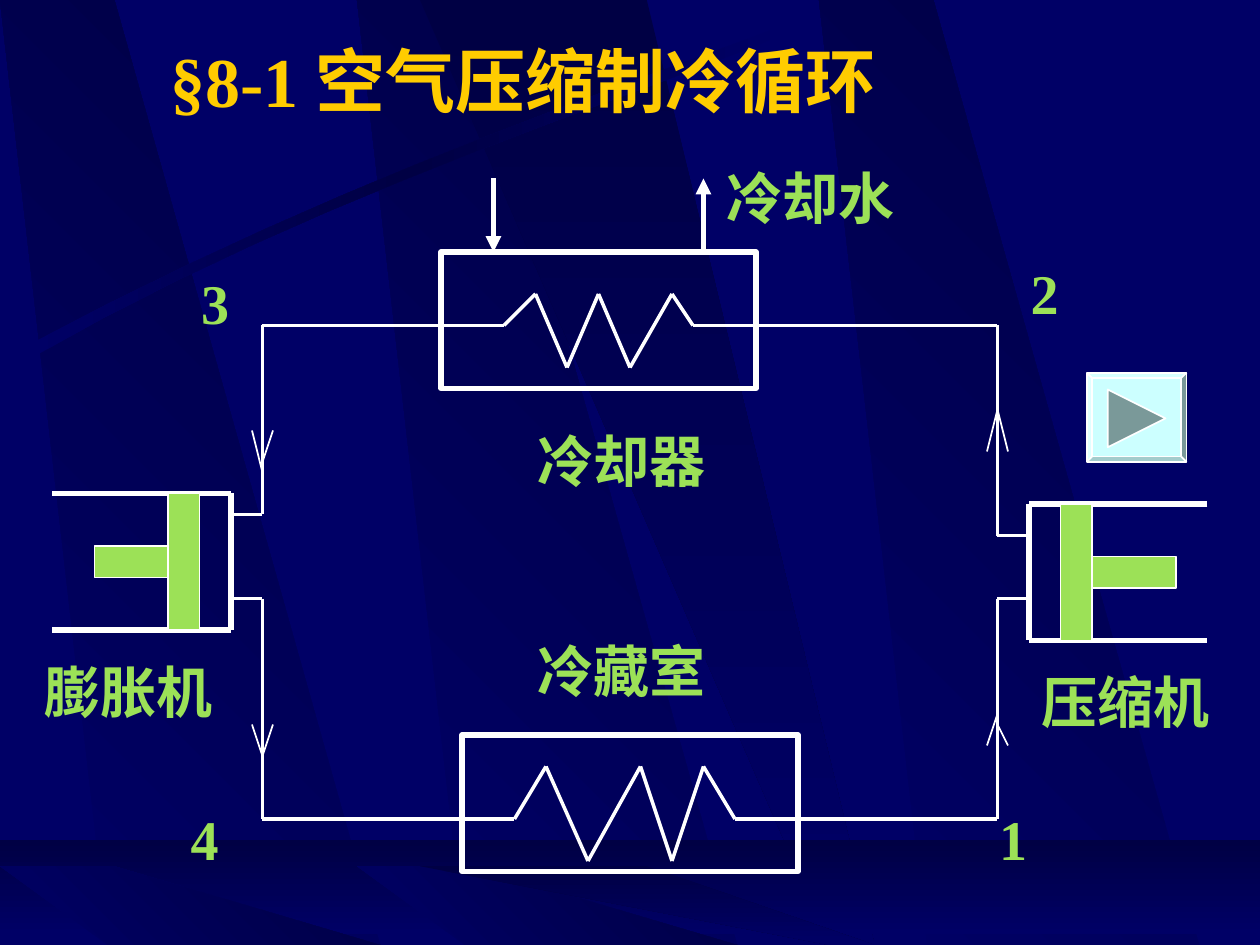
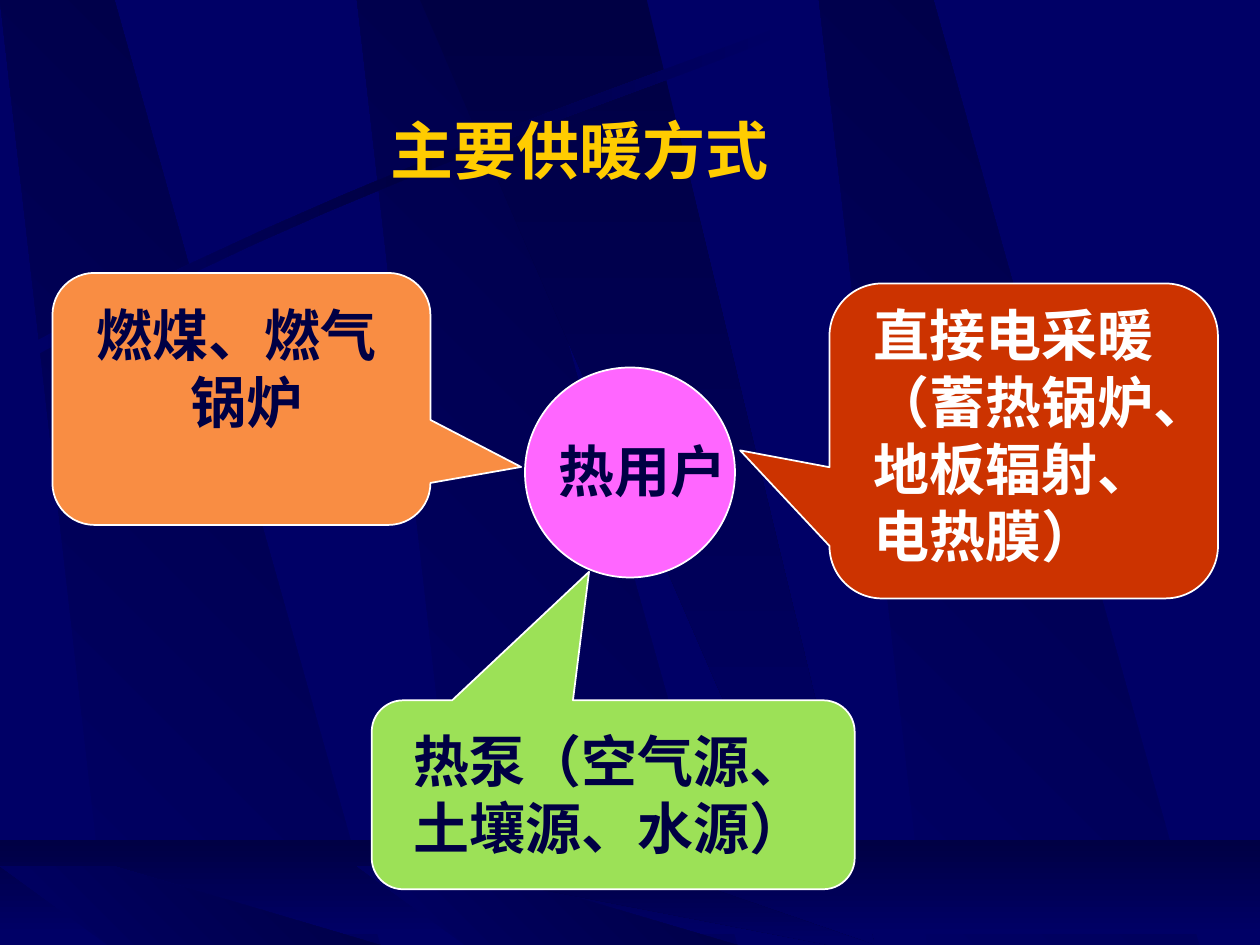
"""Build two slides: the air refrigeration cycle and the main ways of heating."""
import itertools
import pptx
import pptx.dml.color
import pptx.enum.shapes
import pptx.enum.text
import pptx.oxml.ns
import pptx.util
from copy import deepcopy
from lxml import etree

HUE = {
    "navy": "000066", "dark": "000044", "gold": "FFCC00", "lime": "9CE157",
    "white": "FFFFFF", "pink": "FF66FF", "peach": "F98D43", "red": "CC3300",
    "ice": "CCFFFF", "slate": "7A9999",
}
RGB = {name: pptx.dml.color.RGBColor.from_string(code) for name, code in HUE.items()}
KIND = pptx.enum.shapes.MSO_SHAPE
ALIGN = pptx.enum.text.PP_ALIGN
qn = pptx.oxml.ns.qn

deck = pptx.Presentation()
deck.slide_width, deck.slide_height = pptx.util.Inches(10), pptx.util.Inches(7.5)
COLS = 120
cell = deck.slide_width // COLS


def draw(slide, kind, at, fill=None, edge=1):
    """Add a preset shape at grid cells, with a white edge."""
    shape = slide.shapes.add_shape(kind, *[round(v * cell) for v in at])
    shape.shadow.inherit = False
    if fill:
        shape.fill.solid()
        shape.fill.fore_color.rgb = RGB[fill]
    else:
        shape.fill.background()
    shape.line.color.rgb = RGB["white"]
    shape.line.width = pptx.util.Pt(edge)
    return shape


def write(box, at, text, hue, size=32, align=ALIGN.LEFT, wrap=True):
    """Place a text holder at grid cells and set its bold text."""
    box.left, box.top, box.width, box.height = [round(v * cell) for v in at]
    frame = box.text_frame
    frame.text = text
    frame.word_wrap = wrap
    frame.auto_size = pptx.enum.text.MSO_AUTO_SIZE.NONE
    for para in frame.paragraphs:
        para.alignment = align
        para.font.size = pptx.util.Pt(size)
        para.font.bold = True
        para.font.color.rgb = RGB[hue]
        para.font.name = "Times New Roman"
    for latin in list(box.element.iter(qn("a:latin"))):
        east = etree.Element(qn("a:ea"), typeface="Noto Sans CJK SC")
        latin.addnext(east)


cycle, heat = [deck.slides.add_slide(deck.slide_layouts[5]) for _ in range(2)]

master = deck.slide_master
master.background.fill.solid()
master.background.fill.fore_color.rgb = RGB["navy"]

curves = [
    [(2.4, 33), (34.1, 16.1), (62.9, 7.1), (75.1, 2.2)],
    [(75.5, 2.9), (63.4, 8.3), (30.5, 18.1), (2.8, 34.2)],
]
streak = []
for ends in curves:
    for step in range(13):
        t = step / 12
        parts = [(1 - t) ** 3, 3 * t * (1 - t) ** 2, 3 * t * t * (1 - t), t ** 3]
        streak.append([sum(k * p[axis] for k, p in zip(parts, ends)) for axis in (0, 1)])

fade, rise = ["navy", "dark"], ["dark", "navy"]
decor = []
for top, lefts in [(0, (34, 0, 78)), (82.5, (34, 0))]:
    for left in lefts:
        decor.append(([(left, top), (left + 10.9, top), (left + 36.2, 90),
                       (left + 10.3, 90)], fade, 45))
    decor.append(([(40, top), (61.6, top), (83.3, 90), (79, 90)], rise, 270))
    if top == 0:
        decor.append((streak, ["navy", "dark", "navy"], 0))
        decor.append(([(0, 80), (120, 80), (120, 89), (0, 89)], rise, 270))

for rank, (points, tones, angle) in enumerate(decor):
    spots = [(round(x * cell), round(y * cell)) for x, y in points]
    pen = cycle.shapes.build_freeform(*spots[0])
    pen.add_line_segments(spots[1:])
    shape = pen.convert_to_shape()
    shape.shadow.inherit = False
    shape.line.fill.background()
    shape.fill.gradient()
    shape.fill.gradient_angle = angle
    if len(tones) == 3:
        first = next(shape.element.iter(qn("a:gs")))
        middle = deepcopy(first)
        middle.set("pos", "50000")
        first.addnext(middle)
    for stop, tone in zip(shape.fill.gradient_stops, tones):
        stop.color.rgb = RGB[tone]
    shape.element.nvSpPr.cNvPr.set("id", str(20 + rank))
    master.shapes.element.insert(2 + rank, shape.element)

for slide, at, text, size in [
    (cycle, (15, 3, 79, 9.2), "§8-1 空气压缩制冷循环", 40),
    (heat, (36, 10, 42, 8.4), "主要供暖方式", 36),
]:
    write(slide.shapes.title, at, text, "gold", size)
    slide.shapes.title.text_frame.vertical_anchor = pptx.enum.text.MSO_ANCHOR.MIDDLE

for at in [(42, 24, 30, 13), (44, 70, 32, 13)]:
    draw(cycle, KIND.RECTANGLE, at, edge=3)

cooler = [(48, 31), (51, 28), (54, 35), (57, 28), (60, 35), (64, 28), (66, 31)]
room = [(49, 78), (52, 73), (56, 82), (61, 73), (64, 82), (67, 73), (70, 78)]
traces = [
    (2, [(22, 49), (25, 49), (25, 31), *cooler, (95, 31), (95, 51), (98, 51)]),
    (2, [(22, 57), (25, 57), (25, 78), *room, (95, 78), (95, 57), (98, 57)]),
    (3, [(5, 47), (22, 47), (22, 60), (5, 60)]),
    (3, [(115, 48), (98, 48), (98, 61), (115, 61)]),
    (1, [(24, 41), (25, 45)]),
    (1, [(26, 41), (25, 44)]),
    (1, [(24, 69), (25, 72), (26, 69)]),
    (1, [(94, 71), (95, 68)]),
    (1, [(96, 71), (95, 69)]),
    (1, [(94, 43), (95, 39), (96, 43)]),
]
flows = [(3, [(67, 24), (67, 17)]), (3, [(47, 17), (47, 24)])]
for width, points in traces + flows:
    for start, end in itertools.pairwise(points):
        line = cycle.shapes.add_connector(
            pptx.enum.shapes.MSO_CONNECTOR.STRAIGHT,
            *[v * cell for v in start + end])
        line.line.color.rgb = RGB["white"]
        line.line.width = pptx.util.Pt(width)
        if (width, points) in flows:
            etree.SubElement(line.get_or_add_ln(), qn("a:tailEnd"), type="triangle")
        etree.SubElement(line.element.spPr, qn("a:effectLst"))

for at in [(101, 48, 3, 13), (104, 53, 8, 3), (16, 47, 3, 13), (9, 52, 7, 3)]:
    draw(cycle, KIND.RECTANGLE, at, "lime")

for left, top, text in [
    (68, 15, "冷却水"), (3, 62, "膨胀机"), (98, 63, "压缩机"),
    (50, 60, "冷藏室"), (50, 40, "冷却器"),
    (18, 25, "3"), (97, 24, "2"), (94, 76, "1"), (17, 76, "4"),
]:
    wide = 5 if text.isdigit() else 18.4
    box = cycle.shapes.add_textbox(0, 0, 0, 0)
    write(box, (left, top, wide, 7.7), text, "lime", align=ALIGN.CENTER, wrap=False)

button = draw(cycle, KIND.BEVEL, (103.5, 35.5, 9.5, 8.5), "ice")
button.adjustments[0] = 0.06
arrow = draw(cycle, KIND.ISOSCELES_TRIANGLE, (105.5, 37.1, 5.5, 5.5), "slate")
arrow.rotation = 90

draw(heat, KIND.OVAL, (50, 35, 20, 20), "pink")
for at, tip, fill in [
    ((5, 26, 36, 24), (0.74, 0.27), "peach"),
    ((79, 27, 37, 30), (-0.73, 0.03), "red"),
    ((35.4, 66.7, 46, 18), (-0.05, -1.18), "lime"),
]:
    bubble = draw(heat, KIND.ROUNDED_RECTANGULAR_CALLOUT, at, fill)
    bubble.adjustments[0], bubble.adjustments[1] = tip

for at, text, hue, align in [
    ((52, 41, 21, 7.7), "热用户", "dark", ALIGN.LEFT),
    ((8, 28, 31, 14), "燃煤、燃气\n锅炉", "dark", ALIGN.CENTER),
    ((82, 28, 38, 27), "直接电采暖\n（蓄热锅炉、\n地板辐射、\n电热膜）", "white", ALIGN.LEFT),
    ((37.3, 68.6, 41.6, 14), "热泵（空气源、土壤源、水源）", "dark", ALIGN.CENTER),
]:
    box = heat.shapes.add_textbox(0, 0, 0, 0)
    write(box, at, text, hue, align=align)
    if text.startswith("燃煤"):
        box.text_frame.paragraphs[0].alignment = ALIGN.LEFT

deck.save("out.pptx")
